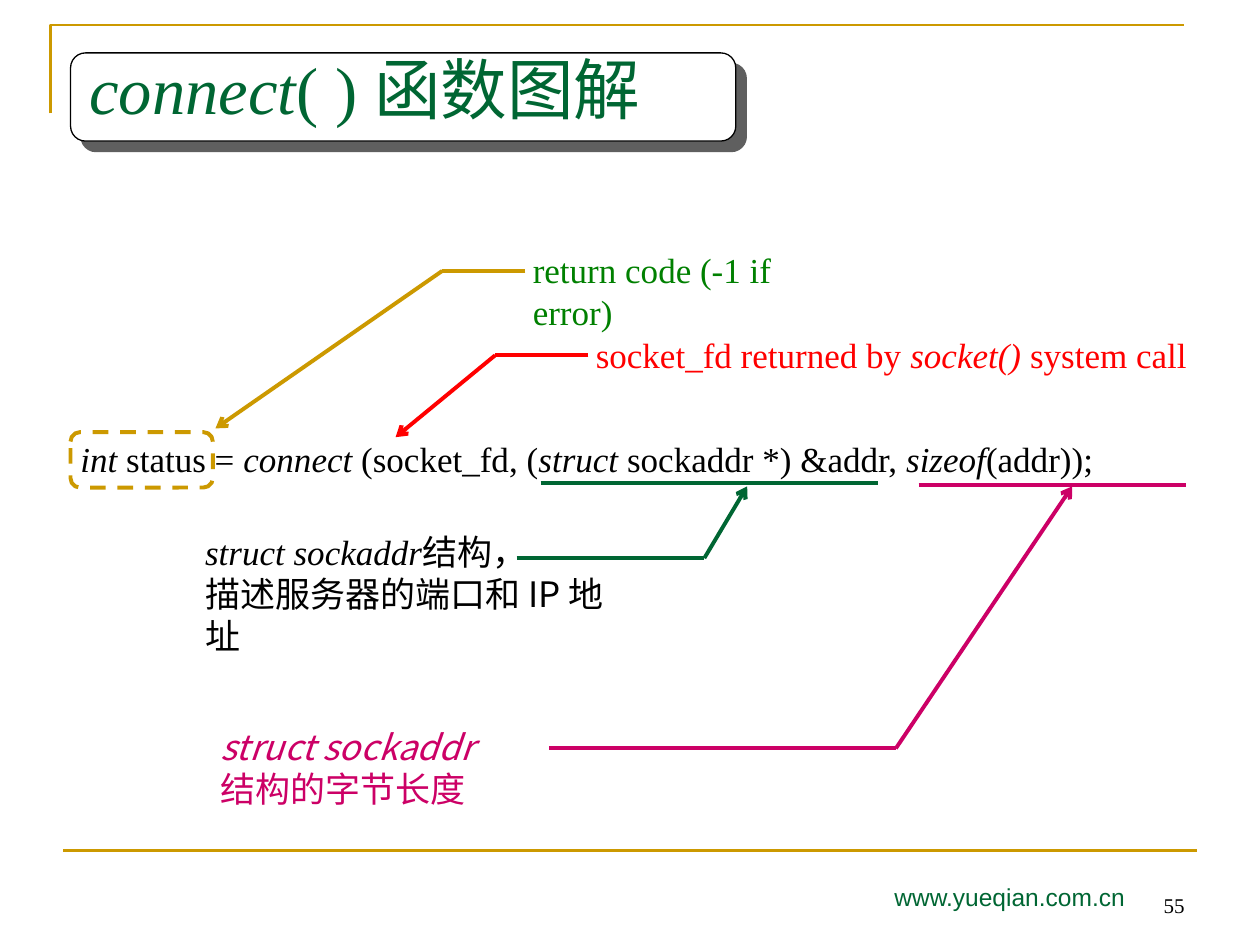
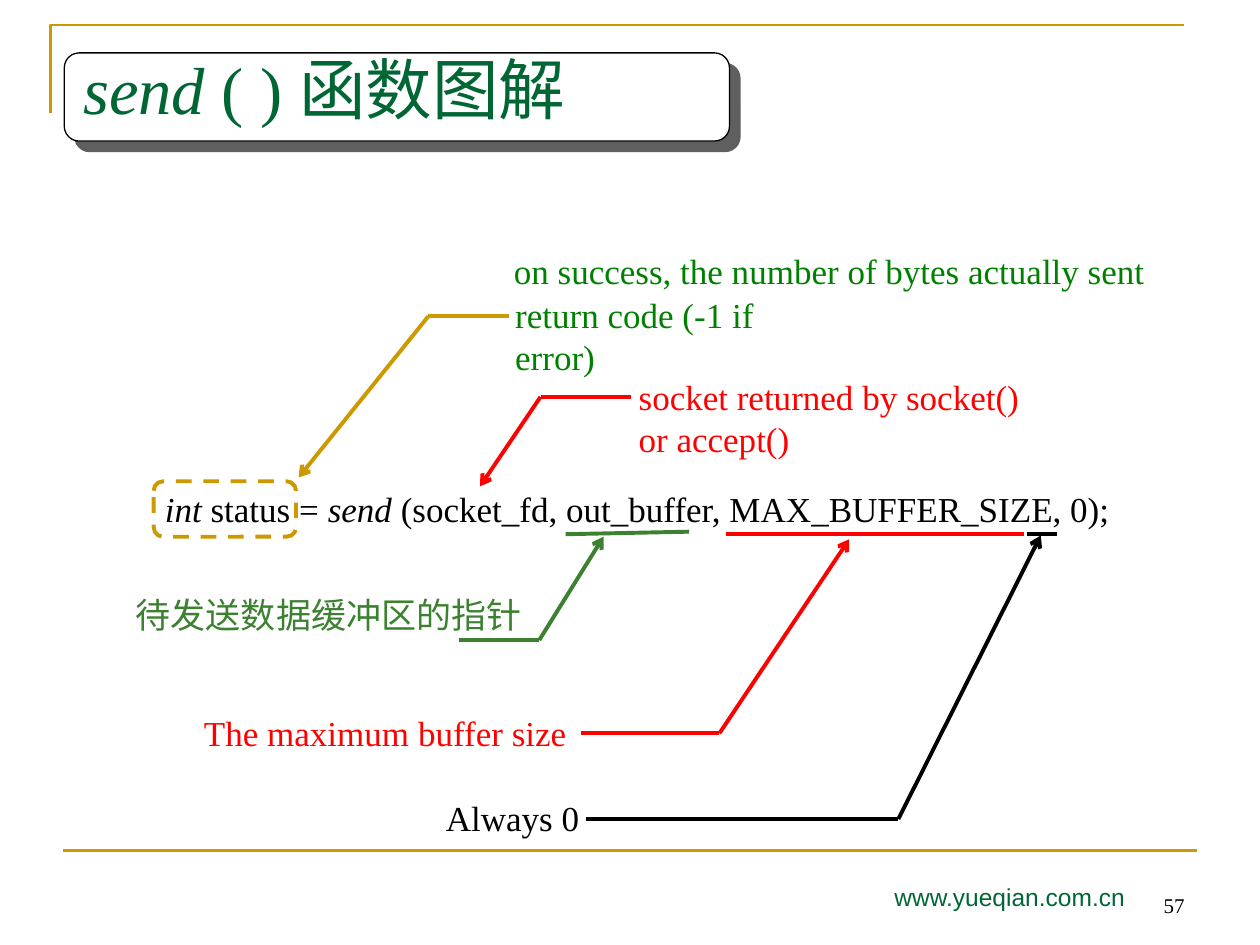
from itertools import cycle

from lxml.etree import SubElement
from pptx import Presentation
from pptx.dml.color import RGBColor
from pptx.enum.dml import MSO_LINE_DASH_STYLE as Dash
from pptx.enum.shapes import MSO_CONNECTOR as Connector, MSO_SHAPE as Preset
from pptx.enum.text import MSO_ANCHOR as Anchor, MSO_AUTO_SIZE as AutoSize, PP_ALIGN as Align
from pptx.oxml.ns import qn
from pptx.util import Inches, Pt

COLUMNS, ROWS = 100, 75
CELL = Inches(0.1)
SERIF, SANS, CJK = "Times New Roman", "Arial", "Noto Sans CJK SC"
COLOURS = {
    "gold": "CC9900",
    "title": "006633",
    "green": "008000",
    "leaf": "3B812F",
    "red": "FF0000",
    "pink": "CC0066",
    "black": "000000",
    "white": "FFFFFF",
    "shade": "5F5F5F",
}


def grid(*cells):
    """Turn grid columns or rows into lengths."""
    return [round(cell * CELL) for cell in cells]


def rgb(colour):
    return RGBColor.from_string(COLOURS[colour])


def set_line(shape, colour, width):
    shape.line.color.rgb = rgb(colour)
    shape.line.width = Pt(width)


def write(frame, paragraphs, colour, size, fonts=(SERIF,), align=Align.LEFT):
    """Fill a text frame; the parts between bars are italic."""
    for index, (text, font) in enumerate(zip(paragraphs, cycle(fonts))):
        paragraph = frame.add_paragraph() if index else frame.paragraphs[0]
        paragraph.alignment = align
        for part, words in enumerate(text.split("|")):
            if not words:
                continue
            run = paragraph.add_run()
            run.text = words
            run.font.size = Pt(size)
            run.font.name = font
            run.font.italic = part % 2 == 1
            run.font.color.rgb = rgb(colour)
            SubElement(run._r.get_or_add_rPr(), qn("a:ea"), typeface=CJK)


def add_label(slide, box, paragraphs, colour, size=20, wrap=False, anchor=Anchor.TOP, **style):
    frame = slide.shapes.add_textbox(*grid(*box)).text_frame
    frame.word_wrap = wrap
    frame.vertical_anchor = anchor
    write(frame, paragraphs, colour, size, **style)


def add_line(slide, start, end, colour, width=2.25, arrow=False):
    line = slide.shapes.add_connector(Connector.STRAIGHT, *grid(*start, *end))
    set_line(line, colour, width)
    properties = line._element.spPr
    if arrow:
        SubElement(properties.find(qn("a:ln")), qn("a:tailEnd"), type="arrow")
    SubElement(properties, qn("a:effectLst"))
    return line


def add_leader(slide, colour, start, elbow, tip, underline=None):
    """Lead from a label over an elbow to the argument it explains."""
    add_line(slide, start, elbow, colour)
    add_line(slide, elbow, tip, colour, arrow=True)
    if underline:
        add_line(slide, *underline, colour)


def add_round_box(slide, box):
    shape = slide.shapes.add_shape(Preset.ROUNDED_RECTANGLE, *grid(*box))
    shape.adjustments[0] = 0.17
    shape.shadow.inherit = False
    return shape


def add_status_box(slide, left, top):
    box = add_round_box(slide, (left, top, 11.3, 4.4))
    box.fill.background()
    set_line(box, "gold", 2.25)
    box.line.dash_style = Dash.DASH


def add_title(slide, left, text):
    plate = add_round_box(slide, (left, 4.2, 52.8, 7))
    plate.fill.solid()
    plate.fill.fore_color.rgb = rgb("white")
    set_line(plate, "black", 0.75)
    effects = plate._element.spPr.find(qn("a:effectLst"))
    shadow = SubElement(effects, qn("a:outerShdw"), dist=str(Pt(8.5)),
                        dir=str(45 * 60000), algn="ctr", rotWithShape="0")
    SubElement(shadow, qn("a:srgbClr"), val=COLOURS["shade"])

    title = slide.shapes.title
    title.left, title.top, title.width, title.height = grid(left + 0.5, 3.3, 53.1, 7.4)
    frame = title.text_frame
    frame.word_wrap = True
    frame.auto_size = AutoSize.NONE
    frame.vertical_anchor = Anchor.TOP
    write(frame, [text], "title", 38)
    slide.shapes.element.append(title.element)  # bring in front of the plate


def add_footer(slide, number):
    add_label(slide, (70, 69.5, 25, 4), ["www.yueqian.com.cn"], "title", 14,
              wrap=True, fonts=(SANS,))
    add_label(slide, (71.7, 68.3, 23.3, 5), [number], "black", 12,
              wrap=True, anchor=Anchor.BOTTOM, align=Align.RIGHT)


def move_frame_to_layout(slide):
    """Draw the gold frame once and hand it to the layout."""
    builder = slide.shapes.build_freeform(4.2, 9.2, scale=CELL)
    builder.add_line_segments([(4.2, 2.5), (94.2, 2.5)], close=False)
    corner = builder.convert_to_shape()
    corner.fill.background()
    corner.shadow.inherit = False
    set_line(corner, "gold", 1.5)
    rule = add_line(slide, (5, 67.5), (95, 67.5), "gold", 1.5)
    for shape in (corner, rule):
        slide.slide_layout.shapes.element.append(shape.element)


def draw_connect(slide):
    add_label(slide, (5.4, 34.2, 82.5, 4.4),
              ["|int| status = |connect| (socket_fd, (|struct| sockaddr *) &addr, |sizeof|(addr));"],
              "black")
    add_status_box(slide, 5.6, 34.3)

    add_label(slide, (41.3, 19.2, 27.9, 4.4), ["return code (-1 if error)"], "green")
    add_leader(slide, "gold", (41.7, 21.5), (35.1, 21.5), (17.1, 34))

    add_label(slide, (46.3, 26, 48.9, 4.4),
              ["socket_fd returned by |socket()| system call"], "red")
    add_leader(slide, "red", (46.7, 28.2), (39.3, 28.2), (31.4, 34.7))

    add_label(slide, (15.3, 41.6, 33.7, 11),
              ["|struct sockaddr|结构，", "描述服务器的端口和 IP 地址"],
              "black", wrap=True, fonts=(SERIF, CJK))
    add_leader(slide, "title", (41, 44.3), (55.9, 44.3), (59.3, 38.6),
               ((42.9, 38.3), (69.7, 38.3)))

    add_label(slide, (16.5, 57.1, 24.8, 7.7), ["|struct sockaddr |结构的字节长度"],
              "pink", wrap=True, fonts=(CJK,))
    add_leader(slide, "pink", (43.6, 59.4), (71.1, 59.4), (85.1, 38.6),
               ((72.9, 38.5), (94.1, 38.5)))


def draw_send(slide):
    add_label(slide, (12.1, 38.2, 77.1, 4.4),
              ["|int| status = |send| (socket_fd, out_buffer, MAX_BUFFER_SIZE, 0);"], "black")
    add_status_box(slide, 12.2, 38.2)

    add_label(slide, (39.8, 19.3, 52.1, 4.4),
              ["on success, the number of bytes actually sent"], "green")
    add_label(slide, (39.9, 22.8, 27.9, 4.4), ["return code (-1 if error)"], "green")
    add_leader(slide, "gold", (40.4, 25.1), (34, 25.1), (23.7, 37.9))

    add_label(slide, (49.7, 29.3, 32.2, 7.7),
              ["socket returned by socket()", "or accept()"], "red")
    add_leader(slide, "red", (50.1, 31.5), (42.9, 31.5), (38.1, 38.6))

    add_label(slide, (9.8, 46.6, 32.6, 4.4), ["待发送数据缓冲区的指针"], "leaf")
    add_leader(slide, "leaf", (36.4, 50.8), (42.8, 50.8), (47.9, 42.6),
               ((44.9, 42.4), (54.7, 42.2)))

    add_label(slide, (15.2, 56, 30.8, 4.4), ["The maximum buffer size"], "red")
    add_leader(slide, "red", (46.1, 58.2), (57.1, 58.2), (67.4, 42.8),
               ((57.6, 42.4), (81.3, 42.4)))

    add_label(slide, (34.4, 62.7, 12.6, 4.4), ["Always 0"], "black")
    add_leader(slide, "black", (46.5, 65), (71.3, 65), (82.6, 42.5),
               ((81.5, 42.4), (83.9, 42.4)))


def main():
    presentation = Presentation()
    presentation.slide_width, presentation.slide_height = grid(COLUMNS, ROWS)
    title_only = presentation.slide_layouts[5]
    pages = [
        (draw_connect, 5.6, "|connect|( ) 函数图解", "55"),
        (draw_send, 5.1, "|send| ( ) 函数图解", "57"),
    ]
    for draw, title_left, title, number in pages:
        slide = presentation.slides.add_slide(title_only)
        draw(slide)
        add_title(slide, title_left, title)
        add_footer(slide, number)
    move_frame_to_layout(presentation.slides[0])
    presentation.save("out.pptx")


if __name__ == "__main__":
    main()
